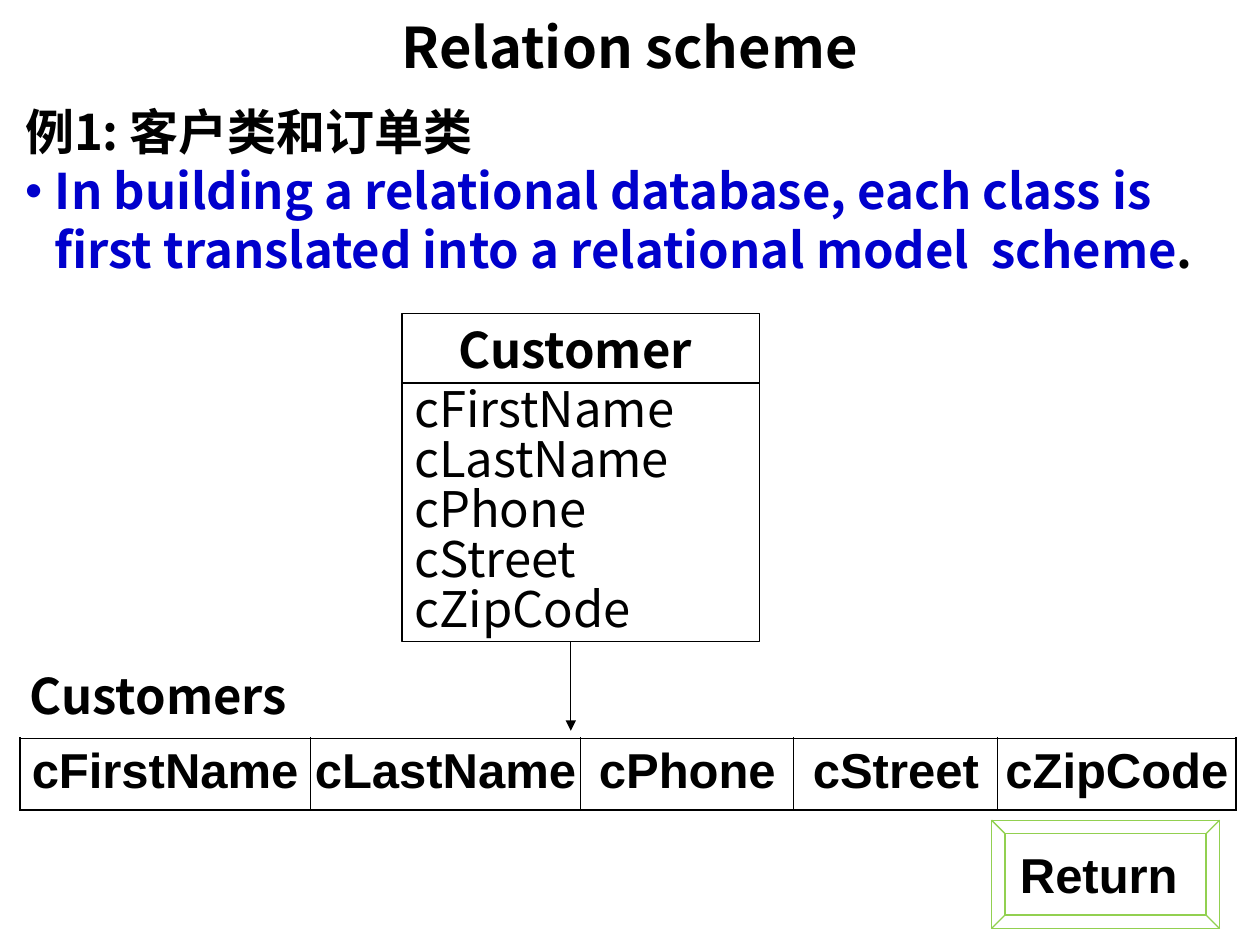
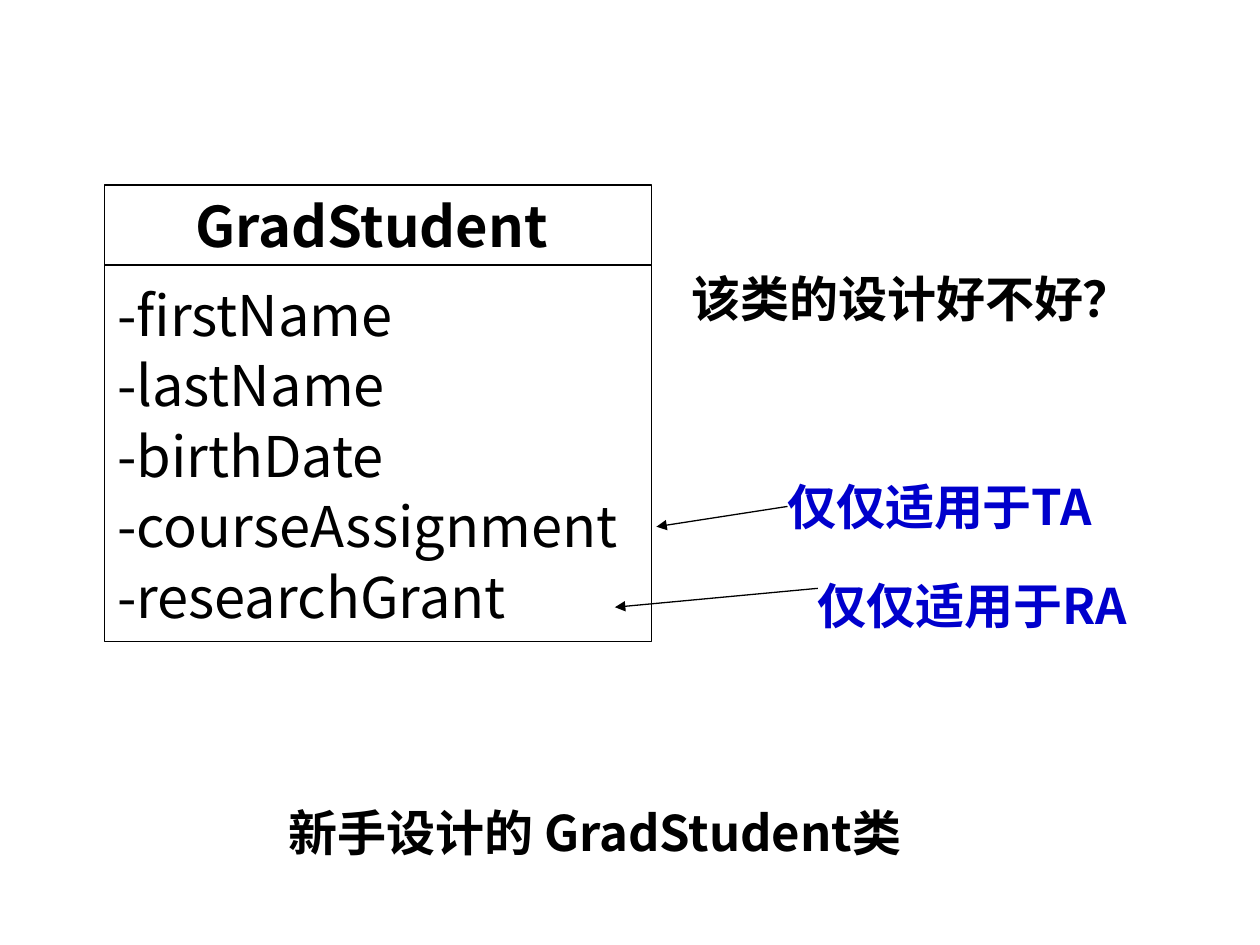
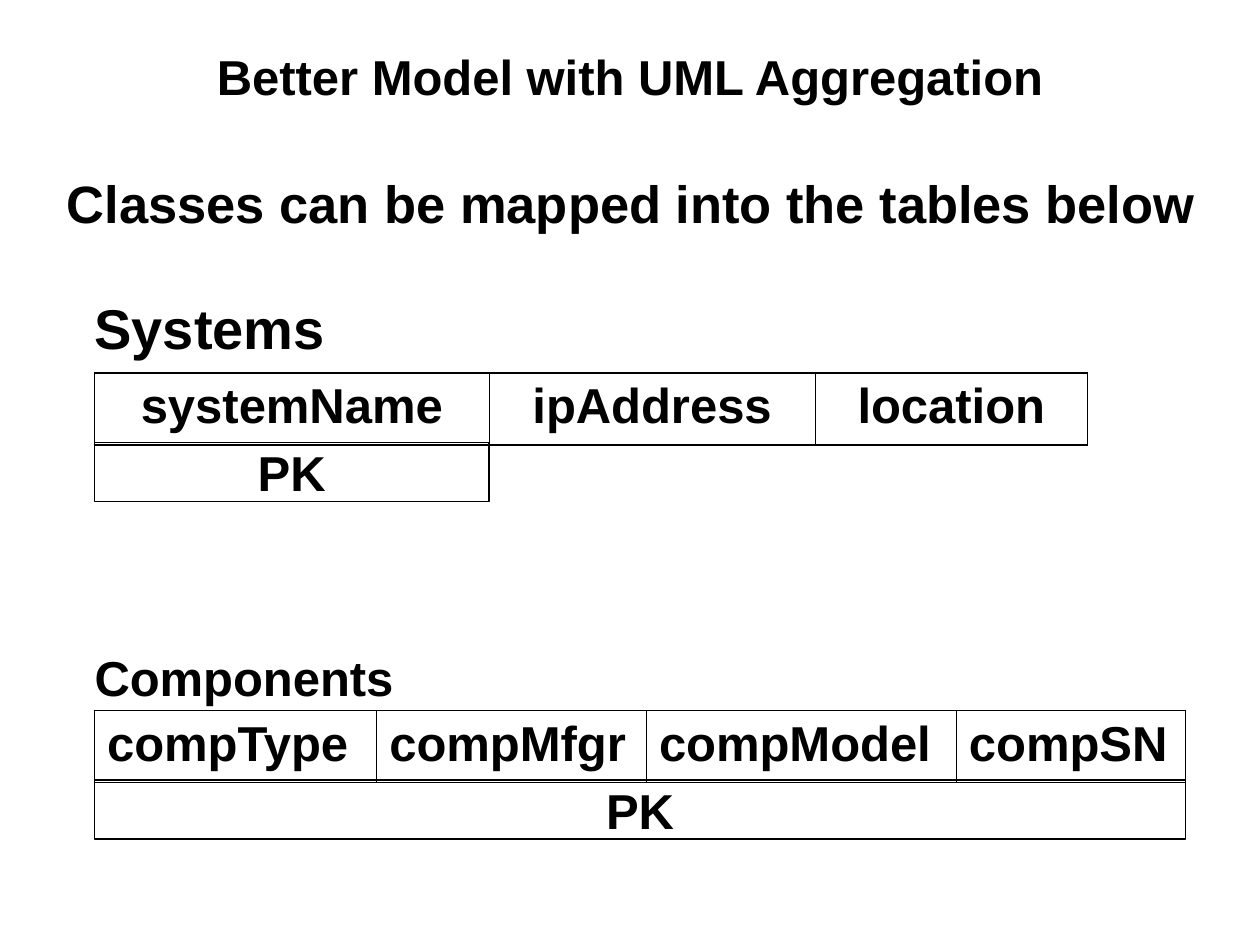
from lxml import etree
from pptx import Presentation
from pptx.dml.color import RGBColor
from pptx.enum import shapes, text
from pptx.oxml.ns import qn
from pptx.util import Pt

BLACK, WHITE, BLUE, GREEN = "000000", "FFFFFF", "0000CC", "92D050"
CJK, ARIAL = "Noto Sans CJK SC", "Arial"
LEFT, CENTER = text.PP_ALIGN.LEFT, text.PP_ALIGN.CENTER
TOP, MIDDLE = text.MSO_ANCHOR.TOP, text.MSO_ANCHOR.MIDDLE
PAD = (7.2, 3.6)
ROW_H, PK_H = 41, 33.8
OUTER, INNER = 1.08, 0.45

CUSTOMER = {
    "name": "Customer ", "box": (229.7, 179.3, 204.5), "heights": (39.6, 147.6),
    "sizes": (28, 28), "spacing": 0.85,
    "fields": ["cFirstName", "cLastName", "cPhone", "cStreet", "cZipCode"],
}
GRAD_STUDENT = {
    "name": "GradStudent ", "box": (59.8, 105.8, 312.5), "heights": (45.6, 215.1),
    "sizes": (32, 32), "spacing": 1.05,
    "fields": ["-firstName", "-lastName", "-birthDate", "-courseAssignment", "-researchGrant"],
}
EXAMPLE = "例1: 客户类和订单类"
RULE = [
    ("In building a relational database, each class is first translated "
     "into a relational model  scheme", BLUE),
    (".", BLACK),
]
CUSTOMER_COLUMNS = [165.6, 154.8, 121.7, 116.6, 136.1]
NOTES = [
    ("仅仅适用于TA", (442.8, 268.6, 205.9, ROW_H), (450, 289.4, 375.1, 301)),
    ("仅仅适用于RA", (460.1, 325.4, 223.2, ROW_H), (467.3, 336.2, 351.4, 347)),
]
KEYED_TABLES = [
    {"name": "Systems", "size": 32, "label": (54, 167.8, 187, 38), "top": 213.1,
     "columns": [("systemName", 225.4), ("ipAddress", 186.5), ("location", 155.5)],
     "align": CENTER, "key_columns": 1},
    {"name": "Components", "size": 28, "label": (54, 370.1, 187, 34), "top": 406.1,
     "columns": [("compType", 161.3), ("compMfgr", 154.1), ("compModel", 177.1), ("compSN", 131)],
     "align": LEFT, "key_columns": 4},
]


def rgb(color):
    return RGBColor.from_string(color)


def sub(parent, tag, **attrs):
    return etree.SubElement(parent, qn(tag), attrs)


def set_font(p, font, size, color, bold):
    f = p.font
    f.name, f.size, f.bold = font, Pt(size), bold
    f.color.rgb = rgb(color)
    f._element.find(qn("a:latin")).addnext(etree.Element(qn("a:ea"), typeface=font))


def set_pad(target, pad):
    target.margin_left = target.margin_right = Pt(pad[0])
    target.margin_top = target.margin_bottom = Pt(pad[1])


def write(sp, lines, size=28, font=CJK, color=BLACK, bold=True, align=LEFT,
          anchor=TOP, pad=PAD, wrap=True, spacing=None):
    tf = sp.text_frame
    tf.word_wrap, tf.vertical_anchor = wrap, anchor
    set_pad(tf, pad)
    for i, line in enumerate(lines):
        p = tf.add_paragraph() if i else tf.paragraphs[0]
        p.text, p.alignment, p.line_spacing = line, align, spacing
        set_font(p, font, size, color, bold)
    return tf


def add_text(s, box, line, **style):
    return write(s.shapes.add_textbox(*map(Pt, box)), [line], **style)


def add_title(s, box, line, **style):
    add_text(s, box, line, align=CENTER, anchor=MIDDLE, **style)


def add_box(s, box, lines, kind=shapes.MSO_SHAPE.RECTANGLE, fill=None, line=BLACK, **style):
    sp = s.shapes.add_shape(kind, *map(Pt, box))
    sp.shadow.inherit = False
    if fill:
        sp.fill.solid()
        sp.fill.fore_color.rgb = rgb(fill)
    else:
        sp.fill.background()
    sp.line.color.rgb, sp.line.width = rgb(line), Pt(0.75)
    write(sp, lines, anchor=MIDDLE, wrap=False, **style)


def add_class(s, uml):
    x, y, w = uml["box"]
    head, body = uml["heights"]
    name_size, field_size = uml["sizes"]
    add_box(s, (x, y, w, head), [uml["name"]], fill=WHITE, size=name_size, align=CENTER)
    add_box(s, (x, y + head, w, body), uml["fields"], fill=WHITE, size=field_size,
            bold=False, spacing=uml["spacing"])


def add_arrow(s, x1, y1, x2, y2):
    c = s.shapes.add_connector(shapes.MSO_CONNECTOR.STRAIGHT, *map(Pt, (x1, y1, x2, y2)))
    c.line.color.rgb, c.line.width = rgb(BLACK), Pt(0.75)
    sub(c.line._get_or_add_ln(), "a:tailEnd", type="triangle")
    sub(c._element.spPr, "a:effectLst")


def add_borders(cell, first, last):
    tc_pr = cell._tc.get_or_add_tcPr()
    widths = {"L": OUTER if first else INNER, "R": OUTER if last else INNER,
              "T": OUTER, "B": OUTER}
    for side, width in widths.items():
        ln = sub(tc_pr, "a:ln" + side, w=str(Pt(width)))
        sub(sub(ln, "a:solidFill"), "a:srgbClr", val=BLACK)


def add_row_table(s, x, y, columns, align=CENTER, pad=PAD):
    total = sum(width for _, width in columns)
    table = s.shapes.add_table(1, len(columns), *map(Pt, (x, y, total, ROW_H))).table
    table.first_row = table.horz_banding = False
    for i, (name, width) in enumerate(columns):
        table.columns[i].width = Pt(width)
        cell = table.cell(0, i)
        set_pad(cell, pad)
        add_borders(cell, i == 0, i == len(columns) - 1)
        cell.fill.background()
        p = cell.text_frame.paragraphs[0]
        p.text, p.alignment = name, align
        set_font(p, ARIAL, 28, BLACK, True)


def add_bullet(tf, runs, indent=17):
    p = tf.add_paragraph()
    p_pr = p._p.get_or_add_pPr()
    p_pr.set("marL", str(Pt(indent)))
    p_pr.set("indent", str(-Pt(indent)))
    sub(sub(p_pr, "a:buClr"), "a:srgbClr", val=BLUE)
    sub(p_pr, "a:buFont", typeface=ARIAL)
    sub(p_pr, "a:buChar", char="•")
    set_font(p, CJK, 28, BLUE, True)
    for words, color in runs:
        r = p.add_run()
        r.text = words
        r.font.color.rgb = rgb(color)


def relation_scheme(s):
    add_title(s, (36, 15, 648, 22.5), "Relation scheme", size=32)
    add_row_table(s, 11.5, 421.9, list(zip(CUSTOMER["fields"], CUSTOMER_COLUMNS)), pad=(1.4, 3.6))
    add_class(s, CUSTOMER)
    add_bullet(add_text(s, (14.4, 54.7, 689, 108), EXAMPLE, pad=(0, 3.6)), RULE)
    add_text(s, (10, 376.6, 171, ROW_H), "Customers", wrap=False)
    add_arrow(s, 326.2, 366.5, 326.2, 417.6)
    add_box(s, (566.6, 468.7, 130.3, 61.9), ["Return "], kind=shapes.MSO_SHAPE.BEVEL,
            line=GREEN, font=ARIAL, align=CENTER)


def grad_student(s):
    add_text(s, (110.2, 455, 459.4, ROW_H), "新手设计的 GradStudent类", align=CENTER)
    add_class(s, GRAD_STUDENT)
    for note, box, arrow in NOTES:
        add_text(s, box, note, color=BLUE)
        add_arrow(s, *arrow)
    add_text(s, (388.1, 149.8, 260.6, ROW_H), "该类的设计好不好？")


def aggregation(s):
    add_title(s, (36, 21.6, 648, 44), "Better Model with UML Aggregation", font=ARIAL)
    add_text(s, (31, 94.3, 674.6, 43.2), "Classes can be mapped into the tables below",
             size=30, font=ARIAL)
    for t in KEYED_TABLES:
        x, y = t["label"][0], t["top"]
        add_text(s, t["label"], t["name"], size=t["size"], font=ARIAL, pad=(0, 0))
        add_row_table(s, x, y, t["columns"], align=t["align"])
        key_width = sum(width for _, width in t["columns"][:t["key_columns"]])
        add_box(s, (x, y + ROW_H - 1.4, key_width, PK_H), ["PK"], font=ARIAL, align=CENTER)


def main():
    prs = Presentation()
    prs.slide_width, prs.slide_height = Pt(720), Pt(540)
    for build in (relation_scheme, grad_student, aggregation):
        build(prs.slides.add_slide(prs.slide_layouts[6]))
    prs.save("out.pptx")


if __name__ == "__main__":
    main()
